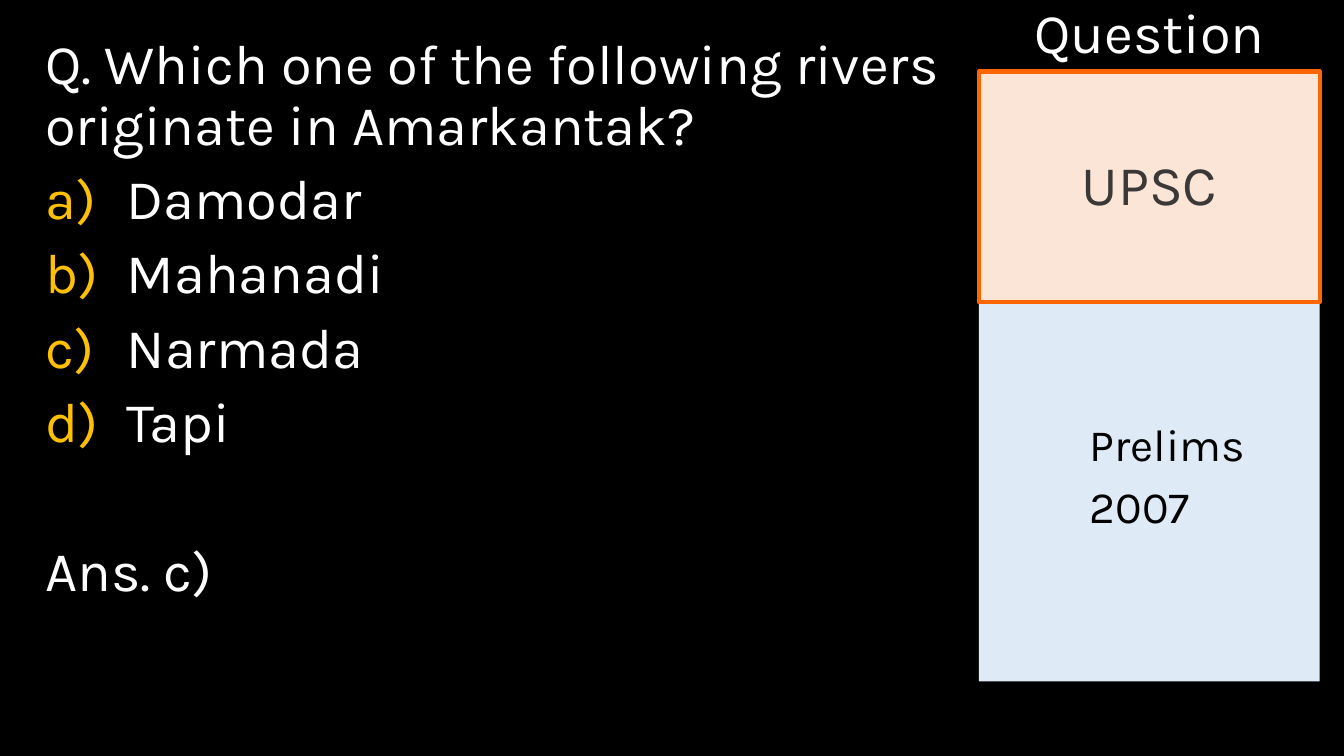
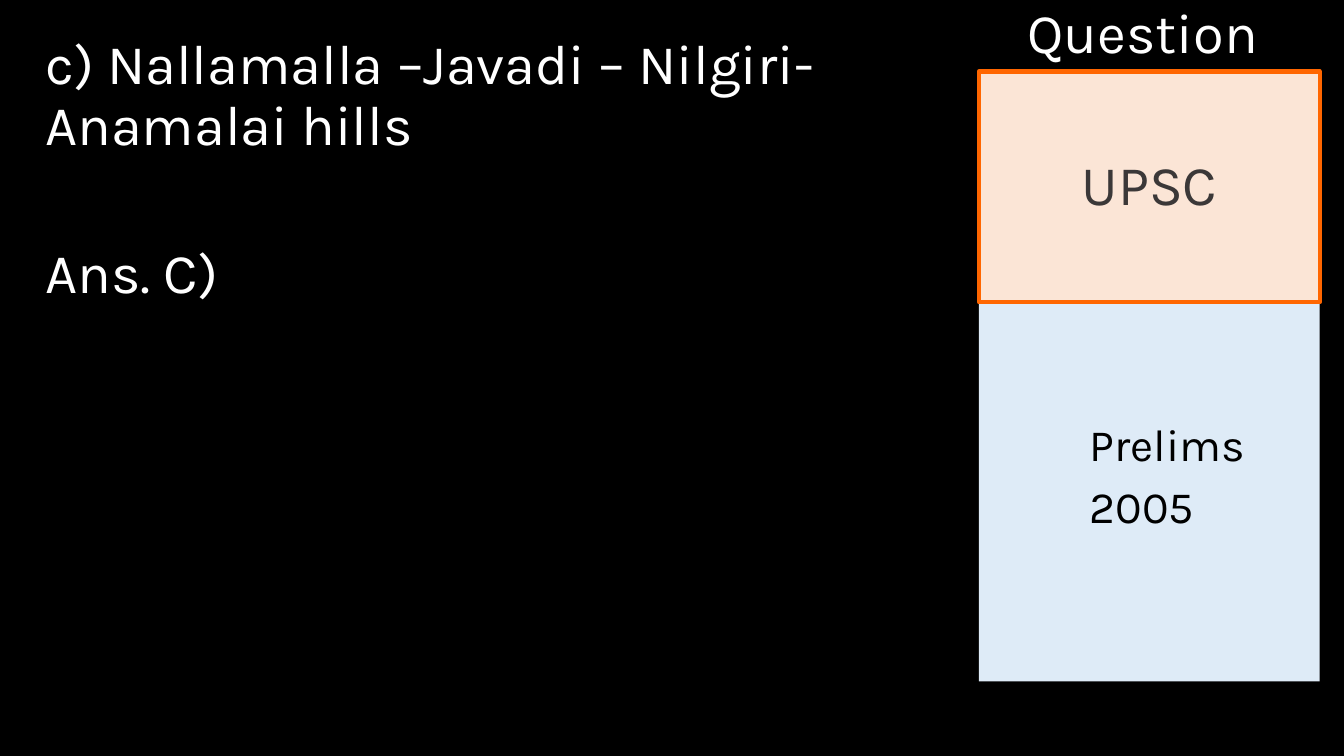
from dataclasses import dataclass
from typing import Optional

from lxml.etree import SubElement
from pptx import Presentation
from pptx.dml.color import RGBColor
from pptx.enum.shapes import MSO_SHAPE
from pptx.enum.text import MSO_ANCHOR, PP_ALIGN
from pptx.oxml.ns import qn
from pptx.util import Inches, Pt


@dataclass(frozen=True)
class Theme:
    font: str = "Karla"
    background: str = "000000"
    text: str = "FFFFFF"
    marker: str = "FFC000"
    card_fill: str = "FBE5D6"
    card_line: str = "FF6600"
    card_text: str = "3B3838"
    panel_fill: str = "DEEBF7"
    panel_text: str = "000000"
    large: int = 40
    medium: int = 32
    line_spacing: float = 0.9
    paragraph_gap: int = 10
    answer_gap: int = 63


@dataclass(frozen=True)
class Area:
    left: float
    top: float
    width: float
    height: float


@dataclass(frozen=True)
class Line:
    text: str
    option: bool = False
    gap: int = Theme.paragraph_gap


@dataclass(frozen=True)
class QuestionSlide:
    heading: str
    prompt: str
    options: tuple[str, ...]
    answer: str
    year: str


THEME = Theme()
SLIDE_WIDTH, SLIDE_HEIGHT = Inches(13.33), Inches(7.5)

SIDE_LEFT, SIDE_WIDTH = 72.84, 25.36
CARD_TOP, PANEL_TOP, PANEL_BOTTOM = 9.47, 40, 90.13
BODY = Area(2.63, 4.13, 69.69, 85.87)
HEADING = Area(SIDE_LEFT, 0, SIDE_WIDTH, CARD_TOP)
CARD = Area(SIDE_LEFT, CARD_TOP, SIDE_WIDTH, PANEL_TOP - CARD_TOP)
PANEL = Area(SIDE_LEFT, PANEL_TOP, SIDE_WIDTH, PANEL_BOTTOM - PANEL_TOP)

QUESTIONS = (
    QuestionSlide(
        "Question",
        "Q. Which one of the following rivers originate in Amarkantak?",
        ("Damodar", "Mahanadi", "Narmada", "Tapi"),
        "Ans. c)",
        "2007",
    ),
    QuestionSlide(
        "Question ",
        "c) Nallamalla –Javadi – Nilgiri- Anamalai hills",
        (),
        "Ans. C)",
        "2005",
    ),
)


def place(area: Area) -> tuple[int, int, int, int]:
    return (
        int(SLIDE_WIDTH * area.left / 100),
        int(SLIDE_HEIGHT * area.top / 100),
        int(SLIDE_WIDTH * area.width / 100),
        int(SLIDE_HEIGHT * area.height / 100),
    )


def add_letter(paragraph) -> None:
    properties = paragraph._p.get_or_add_pPr()
    properties.set("marL", str(Inches(0.81)))
    properties.set("indent", str(-Inches(0.81)))
    color = SubElement(properties, qn("a:buClr"))
    SubElement(color, qn("a:srgbClr"), val=THEME.marker)
    SubElement(properties, qn("a:buFont"), typeface=THEME.font)
    SubElement(properties, qn("a:buAutoNum"), type="alphaLcParenR")


def write_text(
    shape,
    lines: list[Line],
    *,
    color: str = THEME.text,
    size: int = THEME.large,
    align: PP_ALIGN = PP_ALIGN.LEFT,
    anchor: MSO_ANCHOR = MSO_ANCHOR.TOP,
    left_inset: float = 0.1,
    top_inset: float = 0.05,
) -> None:
    frame = shape.text_frame
    frame.word_wrap = True
    frame.vertical_anchor = anchor
    frame.margin_left, frame.margin_top = Inches(left_inset), Inches(top_inset)
    for index, line in enumerate(lines):
        paragraph = frame.add_paragraph() if index else frame.paragraphs[0]
        paragraph.alignment = align
        paragraph.line_spacing = THEME.line_spacing
        paragraph.space_before = Pt(line.gap if index else 0)
        if line.option:
            add_letter(paragraph)
        run = paragraph.add_run()
        run.text = line.text
        run.font.name = THEME.font
        run.font.size = Pt(size)
        run.font.color.rgb = RGBColor.from_string(color)


def add_block(slide, area: Area, fill: str, outline: Optional[str] = None):
    shape = slide.shapes.add_shape(MSO_SHAPE.RECTANGLE, *place(area))
    shape.shadow.inherit = False
    shape.fill.solid()
    shape.fill.fore_color.rgb = RGBColor.from_string(fill)
    if outline:
        shape.line.color.rgb = RGBColor.from_string(outline)
        shape.line.width = Pt(3)
    else:
        shape.line.fill.background()
    return shape


def add_sidebar(slide, heading: str, year: str) -> None:
    panel = add_block(slide, PANEL, THEME.panel_fill)
    write_text(
        panel,
        [Line("Prelims"), Line(year)],
        color=THEME.panel_text,
        size=THEME.medium,
        left_inset=1.1,
        top_inset=1.19,
    )
    card = add_block(slide, CARD, THEME.card_fill, THEME.card_line)
    write_text(
        card,
        [Line("UPSC")],
        color=THEME.card_text,
        align=PP_ALIGN.CENTER,
        anchor=MSO_ANCHOR.MIDDLE,
    )
    title = slide.shapes.add_textbox(*place(HEADING))
    write_text(title, [Line(heading)], align=PP_ALIGN.CENTER)


def add_question(presentation, question: QuestionSlide) -> None:
    slide = presentation.slides.add_slide(presentation.slide_layouts[6])
    slide.background.fill.solid()
    slide.background.fill.fore_color.rgb = RGBColor.from_string(THEME.background)
    add_sidebar(slide, question.heading, question.year)
    lines = [
        Line(question.prompt),
        *(Line(option, option=True) for option in question.options),
        Line(question.answer, gap=THEME.answer_gap),
    ]
    write_text(slide.shapes.add_textbox(*place(BODY)), lines)


def main() -> None:
    presentation = Presentation()
    presentation.slide_width = SLIDE_WIDTH
    presentation.slide_height = SLIDE_HEIGHT
    for question in QUESTIONS:
        add_question(presentation, question)
    presentation.save("out.pptx")


if __name__ == "__main__":
    main()
